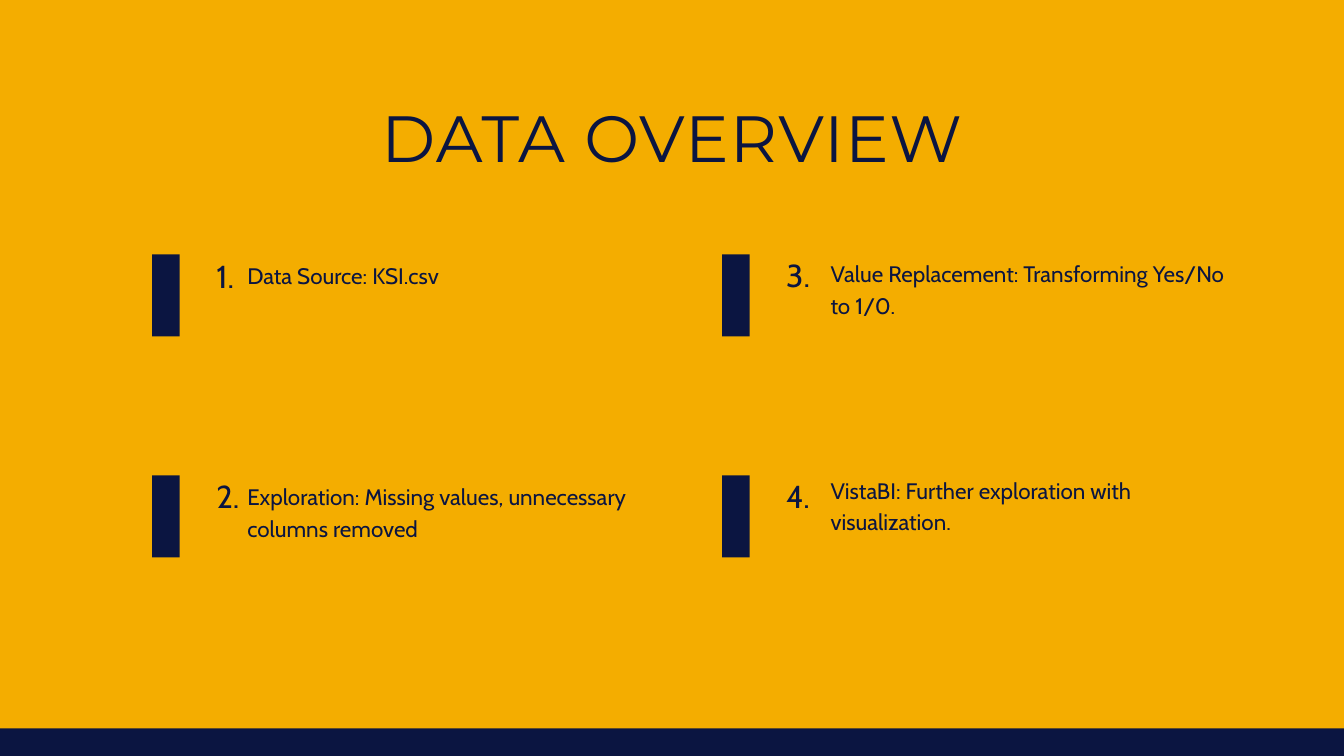
from dataclasses import dataclass

from pptx import Presentation
from pptx.dml.color import RGBColor
from pptx.enum.shapes import MSO_SHAPE
from pptx.enum.text import MSO_ANCHOR, PP_ALIGN
from pptx.util import Inches, Pt


@dataclass(frozen=True)
class Theme:
    background: RGBColor = RGBColor(0xF4, 0xAD, 0x00)
    navy: RGBColor = RGBColor(0x0B, 0x15, 0x41)
    heading_font: str = "Montserrat"
    body_font: str = "Cabin"
    title_size: float = 70
    number_size: float = 34
    body_size: float = 24
    title_leading: float = 70
    number_leading: float = 43.9
    body_leading: float = 33.6


def write_text(frame, text, *, font, size, color, leading,
               align=PP_ALIGN.LEFT, tracking=None):
    """Fill a text frame with one formatted paragraph."""
    paragraph = frame.paragraphs[0]
    paragraph.alignment = align
    paragraph.line_spacing = Pt(leading)
    run = paragraph.add_run()
    run.text = text
    run.font.name = font
    run.font.size = Pt(size)
    run.font.color.rgb = color
    if tracking:
        run.font._element.set("spc", str(round(tracking * 100)))


class SlideBuilder:
    def __init__(self, slide, theme):
        self.slide = slide
        self.theme = theme
        fill = slide.background.fill
        fill.solid()
        fill.fore_color.rgb = theme.background

    def text(self, text, left, top, width, height, **text_format):
        box = self.slide.shapes.add_textbox(
            Inches(left), Inches(top), Inches(width), Inches(height))
        frame = box.text_frame
        frame.word_wrap = True
        frame.vertical_anchor = MSO_ANCHOR.TOP
        frame.margin_left = frame.margin_right = 0
        frame.margin_top = frame.margin_bottom = 0
        write_text(frame, text, color=self.theme.navy, **text_format)

    def bar(self, left, top, width, height, rotation=0):
        shape = self.slide.shapes.add_shape(
            MSO_SHAPE.RECTANGLE,
            Inches(left), Inches(top), Inches(width), Inches(height))
        shape.rotation = rotation
        shape.shadow.inherit = False
        shape.fill.solid()
        shape.fill.fore_color.rgb = self.theme.navy
        shape.line.fill.background()

    def title(self, text):
        theme = self.theme
        self.text(text, 3.93, 1.64, 12.14, 1.02, font=theme.heading_font,
                  size=theme.title_size, leading=theme.title_leading,
                  align=PP_ALIGN.CENTER, tracking=1.4)

    def number(self, number, left, top):
        theme = self.theme
        self.text(f"{number}.", left, top, 6.04, 0.59, font=theme.body_font,
                  size=theme.number_size, leading=theme.number_leading)

    def description(self, text, left, top, height):
        theme = self.theme
        self.text(text, left, top, 6.04, height, font=theme.body_font,
                  size=theme.body_size, leading=theme.body_leading)


# Each item: wording, number top, description top, description height
ITEMS = [
    ("Data Source: KSI.csv", 3.78, 3.84, 0.44),
    ("Exploration: Missing values, unnecessary columns removed",
     7.05, 7.13, 0.9),
    ("Value Replacement: Transforming Yes/No to 1/0.", 3.76, 3.81, 0.9),
    ("VistaBI: Further exploration with visualization.", 7.05, 7.03, 0.9),
]
BAR_LEFT, BAR_TOP = 1.86, 4.19
COLUMN_STEP, ROW_STEP = 8.48, 3.29
NUMBER_OFFSET = 1.36
DESCRIPTION_OFFSETS = (1.82, 2.02)  # left column, right column
ROWS = 2


def main():
    presentation = Presentation()
    presentation.slide_width = Inches(20)
    presentation.slide_height = Inches(11.25)
    slide = presentation.slides.add_slide(presentation.slide_layouts[6])
    builder = SlideBuilder(slide, Theme())

    # Heading
    builder.title("DATA OVERVIEW")

    # Numbered items, running down each column
    for index, (text, number_top, text_top, text_height) in enumerate(ITEMS):
        column, row = divmod(index, ROWS)
        left = BAR_LEFT + column * COLUMN_STEP
        builder.number(index + 1, left + NUMBER_OFFSET, number_top)
        builder.description(text, left + DESCRIPTION_OFFSETS[column],
                            text_top, text_height)
        builder.bar(left, BAR_TOP + row * ROW_STEP, 1.22, 0.41, rotation=270)

    # Footer band
    builder.bar(0, 10.84, 20, 0.41)

    presentation.save("out.pptx")


if __name__ == "__main__":
    main()
